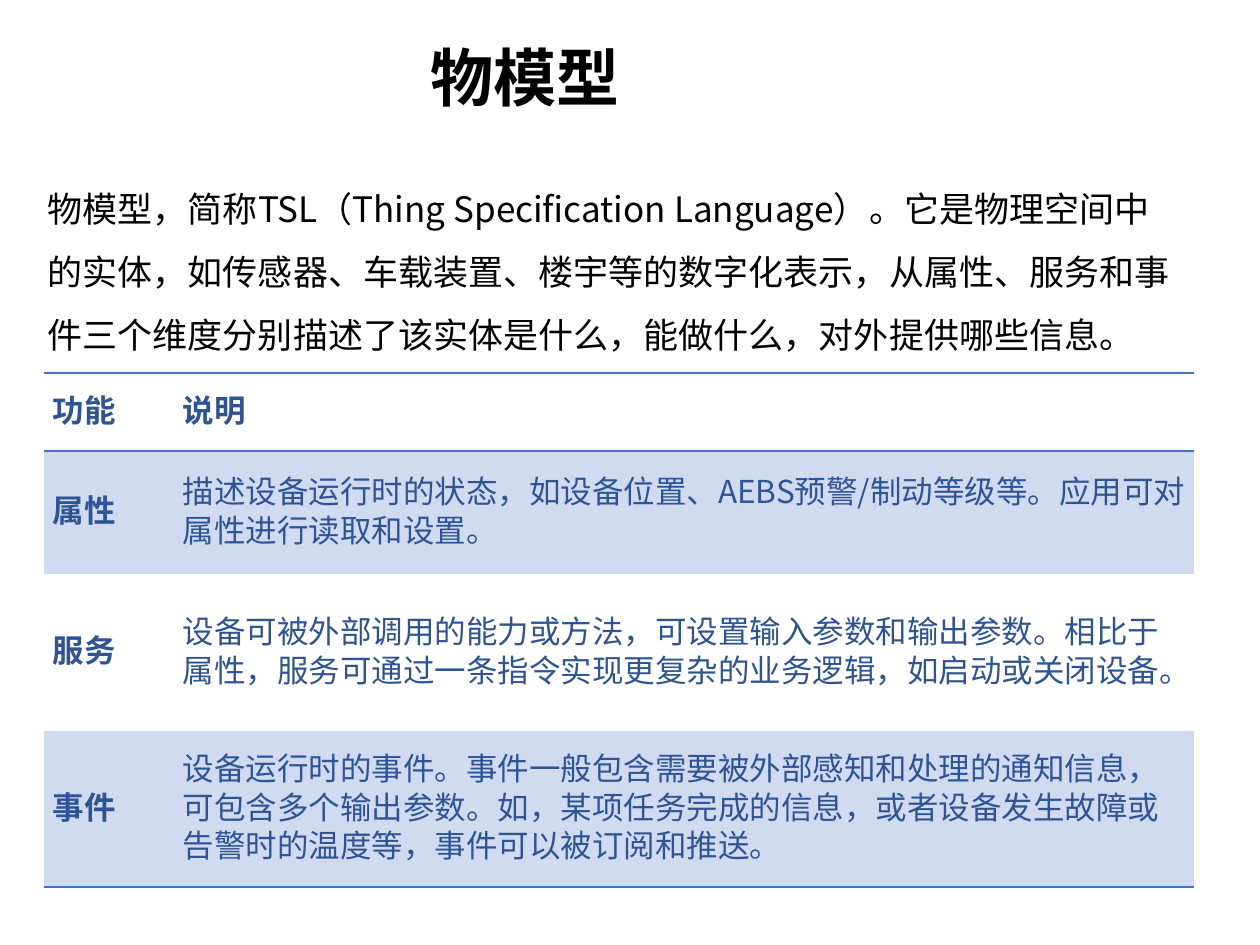
from pptx import Presentation
from pptx.dml.color import RGBColor
from pptx.enum.text import MSO_ANCHOR, MSO_AUTO_SIZE, PP_ALIGN
from pptx.oxml.ns import qn
from pptx.util import Inches, Pt
from lxml.etree import SubElement, Element

FONT = "Noto Sans CJK SC"
BLACK = RGBColor(0x00, 0x00, 0x00)
NAVY = RGBColor(0x2F, 0x54, 0x96)
BLUE = RGBColor(0x44, 0x72, 0xC4)
PALE_BLUE = RGBColor(0xD0, 0xDB, 0xF0)
NO_STYLE = "{2D5ABB26-0587-4C30-8999-92F81FD0307C}"

TITLE = "物模型"
INTRODUCTION = (
    "物模型，简称TSL（Thing Specification Language）。它是物理空间中的实体，"
    "如传感器、车载装置、楼宇等的数字化表示，从属性、服务和事件三个维度分别描述了"
    "该实体是什么，能做什么，对外提供哪些信息。"
)
FUNCTIONS = [
    ("功能", "说明"),
    ("属性", "描述设备运行时的状态，如设备位置、AEBS预警/制动等级等。"
             "应用可对属性进行读取和设置。"),
    ("服务", "设备可被外部调用的能力或方法，可设置输入参数和输出参数。相比于属性，"
             "服务可通过一条指令实现更复杂的业务逻辑，如启动或关闭设备。"),
    ("事件", "设备运行时的事件。事件一般包含需要被外部感知和处理的通知信息，"
             "可包含多个输出参数。如，某项任务完成的信息，或者设备发生故障或告警时的"
             "温度等，事件可以被订阅和推送。"),
]
COLUMN_WIDTHS = [1.03, 8.1]
ROW_HEIGHTS = [0.62, 0.98, 1.24, 1.24]

CELL_FORMAT = {
    "vertical_anchor": MSO_ANCHOR.MIDDLE,
    "margin_left": Inches(0.07), "margin_right": Inches(0.07),
    "margin_top": 0, "margin_bottom": 0,
}
CELL_SPACING = {"line_spacing": Pt(22), "space_before": Pt(6), "space_after": Pt(6)}


def set_values(target, values):
    for name, value in values.items():
        setattr(target, name, value)


def write_text(text_frame, text, size, color, bold=False, **paragraph_format):
    paragraph = text_frame.paragraphs[0]
    set_values(paragraph, paragraph_format)
    run = paragraph.add_run()
    run.text = text
    set_values(run.font, {"name": FONT, "size": Pt(size), "bold": bold})
    run.font.color.rgb = color
    # East Asian characters take their own typeface
    SubElement(run.font._element, qn("a:ea"), typeface=FONT)


def set_borders(cell, ruled_sides):
    """Rule the given sides of a cell and clear the others."""
    properties = cell._tc.get_or_add_tcPr()
    for index, side in enumerate("LRTB"):
        line = Element(qn(f"a:ln{side}"), w=str(Pt(1)))
        if side in ruled_sides:
            fill = SubElement(line, qn("a:solidFill"))
            SubElement(fill, qn("a:srgbClr"), val=str(BLUE))
        else:
            SubElement(line, qn("a:noFill"))
        properties.insert(index, line)


def add_title(slide, left, top, width, height):
    title = slide.shapes.title
    set_values(title, {"left": left, "top": top, "width": width, "height": height})
    set_values(title.text_frame, {"vertical_anchor": MSO_ANCHOR.MIDDLE,
                                  "auto_size": MSO_AUTO_SIZE.NONE})
    write_text(title.text_frame, TITLE, 36, BLACK, True, alignment=PP_ALIGN.CENTER)


def add_introduction(slide, left, top, width, height):
    text_frame = slide.shapes.add_textbox(left, top, width, height).text_frame
    text_frame.word_wrap = True
    write_text(text_frame, INTRODUCTION, 20, BLACK,
               line_spacing=Pt(36), space_before=Pt(4))


def add_function_table(slide, left, top, width, height):
    frame = slide.shapes.add_table(len(FUNCTIONS), len(COLUMN_WIDTHS),
                                   left, top, width, height)
    table = frame.table
    set_values(table, {"first_row": False, "horz_banding": False})
    table._tbl.tblPr.find(qn("a:tableStyleId")).text = NO_STYLE
    for column, column_width in zip(table.columns, COLUMN_WIDTHS):
        column.width = Inches(column_width)

    last_row = len(FUNCTIONS) - 1
    for row_index, texts in enumerate(FUNCTIONS):
        table.rows[row_index].height = Inches(ROW_HEIGHTS[row_index])
        # Rules frame the header and close the table
        ruled_sides = {0: "TB", 1: "T", last_row: "B"}.get(row_index, "")
        for column_index, text in enumerate(texts):
            cell = table.cell(row_index, column_index)
            set_values(cell, CELL_FORMAT)
            is_heading = row_index == 0 or column_index == 0
            write_text(cell.text_frame, text, 18, NAVY, is_heading, **CELL_SPACING)
            if row_index % 2:
                cell.fill.solid()
                cell.fill.fore_color.rgb = PALE_BLUE
            else:
                cell.fill.background()
            set_borders(cell, ruled_sides)


def main():
    presentation = Presentation()
    set_values(presentation, {"slide_width": Inches(10), "slide_height": Inches(7.5)})
    slide = presentation.slides.add_slide(presentation.slide_layouts.get_by_name("Title Only"))
    add_title(slide, Inches(0.51), Inches(0.12), Inches(7.32), Inches(0.97))
    add_function_table(slide, Inches(0.35), Inches(2.96),
                       Inches(sum(COLUMN_WIDTHS)), Inches(sum(ROW_HEIGHTS)))
    add_introduction(slide, Inches(0.28), Inches(1.27), Inches(9.22), Inches(1.54))
    presentation.save("out.pptx")


if __name__ == "__main__":
    main()
